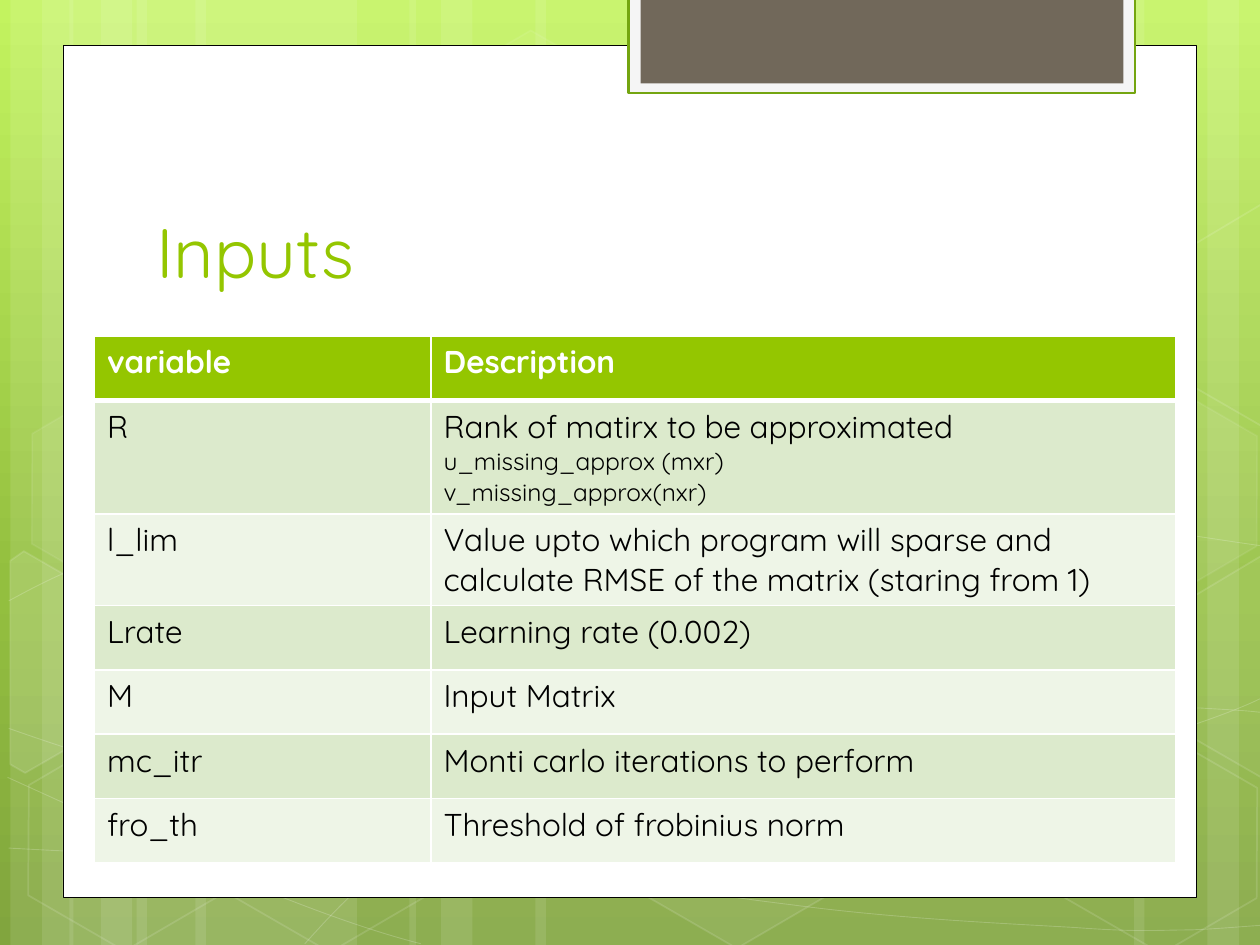
from copy import deepcopy

from lxml.etree import SubElement
from pptx import Presentation
from pptx.dml.color import RGBColor
from pptx.enum.shapes import MSO_SHAPE
from pptx.enum.text import MSO_ANCHOR, MSO_AUTO_SIZE, PP_ALIGN
from pptx.oxml.ns import qn
from pptx.util import Pt

WHITE = RGBColor(0xFF, 0xFF, 0xFF)
BLACK = RGBColor(0, 0, 0)
LIME = RGBColor(0x94, 0xC6, 0x00)
LEAF = RGBColor(0x74, 0xA5, 0x10)
PALE = RGBColor(0xF5, 0xF5, 0xF5)
BROWN = RGBColor(0x71, 0x68, 0x5A)
BANDS = RGBColor(0xDC, 0xEA, 0xCC), RGBColor(0xEE, 0xF5, 0xE7)
SKY = [(0, RGBColor(0xC3, 0xF3, 0x5F)), (0.62, RGBColor(0x93, 0xBF, 0x3F)),
       (1, RGBColor(0x81, 0xA5, 0x3E))]
FONT = "Quicksand"

# Left edge and width of each stripe
STRIPES = [(78, 126), (6, 36), (24, 60), (111.6, 126), (39.6, 36), (57.6, 60),
           (528, 126), (690, 36), (648, 60), (306, 222), (234, 36), (252, 60)]
# Start point, then two handles and an end point for each Bezier piece
CURVES = [
    [(5, 484.6), (44, 486.7), (83, 488.9), (136.8, 488.2),
     (190.8, 487.4), (257.8, 486), (329.8, 478.8),
     (401.8, 471.6), (504, 458), (570.2, 444.2),
     (635.8, 430.6), (703.4, 409), (725, 396.7)],
    [(5, 343.4), (26, 332), (46.8, 321), (87, 310.3),
     (128.2, 299.5), (186.5, 283.7), (249.8, 278.6),
     (314, 273.6), (391.7, 273), (471, 278.6),
     (550, 284.4), (681.8, 306.7), (725, 312.5)],
    [(4.3, 444.2), (91.4, 483.8), (177.8, 523.4), (240.5, 539.3)],
    [(5, 416.2), (27.4, 424), (50.4, 432), (92.2, 443.5),
     (134, 454.3), (196.6, 472.3), (257, 484.6),
     (316.8, 496.8), (392.4, 509.8), (452.2, 517),
     (512, 525), (576, 527.8), (614.2, 530),
     (651.6, 532.8), (661.7, 531.4), (680.4, 531.4),
     (699, 530.6), (712, 529.2), (725, 528.5)],
    [(174.2, 539.3), (187.2, 525), (200.2, 510.5), (217.4, 497.5),
     (234.7, 484.6), (259.2, 470.2), (279.4, 460),
     (299.5, 450), (311.8, 445.7), (338.4, 438.5),
     (364.3, 431.3), (412.6, 421.2), (437.8, 416.2),
     (463.7, 411), (467.3, 411), (489.6, 409.7),
     (512, 407.5), (547.2, 405.4), (571.7, 404.6),
     (597, 404), (638, 404.6), (638, 404.6),
     (654, 404.6), (670, 404.6), (686.2, 404.6),
     (699, 405.4), (711.4, 406), (717.8, 406.8),
     (724.3, 407.5), (722.2, 406.8), (724.3, 407.5)],
]
# Left, top, fill opacity and line opacity (percent)
HEXES = [(240.5, 26, 4, 8), (357.8, 424, 6, 12), (8, 425.5, None, 12),
         (10, 224.6, 7, 8), (125.3, 426.2, None, 12), (542.2, 326.2, 10, 12),
         (600.5, 427, None, 12), (600.5, 226, 7, 8)]
# Hexagons cut by the slide edge, before their turn
LEFT_CUT = [(0, 8.6), (4, 0), (68, 0), (99.4, 55), (68, 109.4), (58.2, 109.4)]
RIGHT_CUT = [(0, 54.7), (30.5, 0), (37.3, 0), (97.9, 104), (94.5, 109.4),
             (31.2, 109.4)]
# Corners, left, top and fill opacity
CUTS = [(LEFT_CUT, -23.8, 330.5, 10), (RIGHT_CUT, 660.2, 319.7, 4),
        (RIGHT_CUT, 660.2, 118.8, None)]
TURN = 30

ROWS = [
    ("variable", "Description"),
    ("R", "Rank of matirx to be approximated"),
    ("l_lim", "Value upto which program will sparse and calculate RMSE of "
              "the matrix (staring from 1)"),
    ("Lrate", "Learning rate (0.002)"),
    ("M", "Input Matrix"),
    ("mc_itr", "Monti carlo iterations to perform"),
    ("fro_th", "Threshold of frobinius norm"),
]


def write(par, text, size=18, color=BLACK, bold=False):
    run = par.add_run()
    run.text = text
    font = run.font
    font.name, font.size, font.bold = FONT, Pt(size), bold
    font.color.rgb = color


def fade(solid, opac):
    SubElement(solid[0], qn("a:alpha")).set("val", str(opac * 1000))


def paint(shape, fill=None, line=None, width=1, opac=None, edge=None):
    """Set fill and line; opac and edge are their opacities in percent."""
    shape.shadow.inherit = False
    props = shape.element.spPr
    if fill is None:
        shape.fill.background()
    else:
        shape.fill.solid()
        shape.fill.fore_color.rgb = fill
        if opac:
            fade(props.find(qn("a:solidFill")), opac)
    if line is None:
        shape.line.fill.background()
    else:
        shape.line.color.rgb = line
        shape.line.width = Pt(width)
        if edge:
            fade(props.find(qn("a:ln")).find(qn("a:solidFill")), edge)


def block(slide, kind, x, y, w, h, **look):
    shape = slide.shapes.add_shape(kind, Pt(x), Pt(y), Pt(w), Pt(h))
    paint(shape, **look)
    return shape


def trace(slide, pts, x, y, close, **look):
    """Draw an outline whose points are relative to x, y."""
    first, *rest = [(Pt(x + px), Pt(y + py)) for px, py in pts]
    pen = slide.shapes.build_freeform(*first)
    pen.add_line_segments(rest, close=close)
    shape = pen.convert_to_shape()
    paint(shape, **look)
    return shape


def bend(shape):
    """Turn each three straight segments into one cubic Bezier piece."""
    route = shape.element.find(".//" + qn("a:path"))
    lines = route.findall(qn("a:lnTo"))
    for i in range(0, len(lines), 3):
        curve = SubElement(route, qn("a:cubicBezTo"))
        for line in lines[i:i + 3]:
            curve.append(line[0])
            route.remove(line)


def backdrop(slide, x, y, w, h):
    fill = slide.background.fill
    fill.gradient()
    fill.gradient_angle = 270
    stops = slide.element.find(".//" + qn("a:gsLst"))
    stops.append(deepcopy(stops[0]))
    for stop, (pos, color) in zip(fill.gradient_stops, SKY):
        stop.position, stop.color.rgb = pos, color

    for left, wide in STRIPES:
        block(slide, MSO_SHAPE.RECTANGLE, x + left, y, wide, h,
              fill=WHITE, opac=10)
    for pts in CURVES:
        bend(trace(slide, pts, x, y, False, line=WHITE, width=0.5, edge=20))
    for left, top, opac, edge in HEXES:
        hexa = block(slide, MSO_SHAPE.HEXAGON, x + left, y + top, 126, 109.4,
                     fill=WHITE if opac else None, opac=opac,
                     line=WHITE, edge=edge)
        hexa.adjustments[0] = 0.285
        hexa.rotation = TURN
    for pts, left, top, opac in CUTS:
        cut = trace(slide, pts, x + left, y + top, True, opac=opac,
                    fill=WHITE if opac else None, line=WHITE, edge=12)
        cut.rotation = TURN


def panel(slide, x, y, w, h):
    """Draw the white page and the tab that hangs over its top edge."""
    rect = MSO_SHAPE.RECTANGLE
    block(slide, rect, x, y, w, h, fill=WHITE, line=BLACK, width=0.5)
    block(slide, rect, x + 323.2, y - 27.4, 289.6, 54.7,
          fill=PALE, line=LEAF, width=1.25)
    block(slide, rect, x + 330, y - 27.4, 276, 49, fill=BROWN)


def heading(slide, text, x, y, w, h):
    title = slide.shapes.title
    title.left, title.top, title.width, title.height = map(Pt, (x, y, w, h))
    title.element.getparent().append(title.element)
    frame = title.text_frame
    frame.auto_size = MSO_AUTO_SIZE.NONE
    frame.word_wrap = True
    frame.vertical_anchor = MSO_ANCHOR.BOTTOM
    frame.paragraphs[0].alignment = PP_ALIGN.LEFT
    write(frame.paragraphs[0], text, size=40, color=LIME)


def border(cell, **widths):
    """Rule the cell in white; widths override the 1 pt default by side."""
    props = cell._tc.get_or_add_tcPr()
    for side in "LRTB":
        line = SubElement(props, qn("a:ln" + side), w=str(Pt(widths.get(side, 1))))
        SubElement(SubElement(line, qn("a:solidFill")), qn("a:srgbClr"),
                   val=str(WHITE))


def grid(slide, x, y, w, h):
    table = slide.shapes.add_table(len(ROWS), 2, Pt(x), Pt(y), Pt(w), Pt(h)).table
    table.horz_banding = False
    table.columns[0].width, table.columns[1].width = Pt(192.3), Pt(w - 192.3)
    for r, row in enumerate(ROWS):
        table.rows[r].height = Pt(h / len(ROWS))
        for c, text in enumerate(row):
            cell = table.cell(r, c)
            border(cell, **{0: {"B": 3}, 1: {"T": 3}}.get(r, {}))
            cell.fill.solid()
            cell.fill.fore_color.rgb = BANDS[(r - 1) % 2] if r else LIME
            write(cell.text_frame.paragraphs[0], text,
                  color=BLACK if r else WHITE, bold=r == 0)
    frame = table.cell(1, 1).text_frame
    frame.paragraphs[0].add_line_break()
    write(frame.paragraphs[0], "u_missing_approx (mxr)", size=14)
    write(frame.add_paragraph(), "v_missing_approx(nxr)", size=14)


def main():
    deck = Presentation()
    deck.slide_width, deck.slide_height = Pt(720), Pt(540)
    slide = deck.slides.add_slide(deck.slide_layouts[5])
    backdrop(slide, 0, 0, 720, 540)
    panel(slide, 36, 26, 648, 487)
    heading(slide, "Inputs", 82.2, 80.6, 553, 90)
    grid(slide, 54, 192, 618, 257.6)
    deck.save("out.pptx")


if __name__ == "__main__":
    main()
